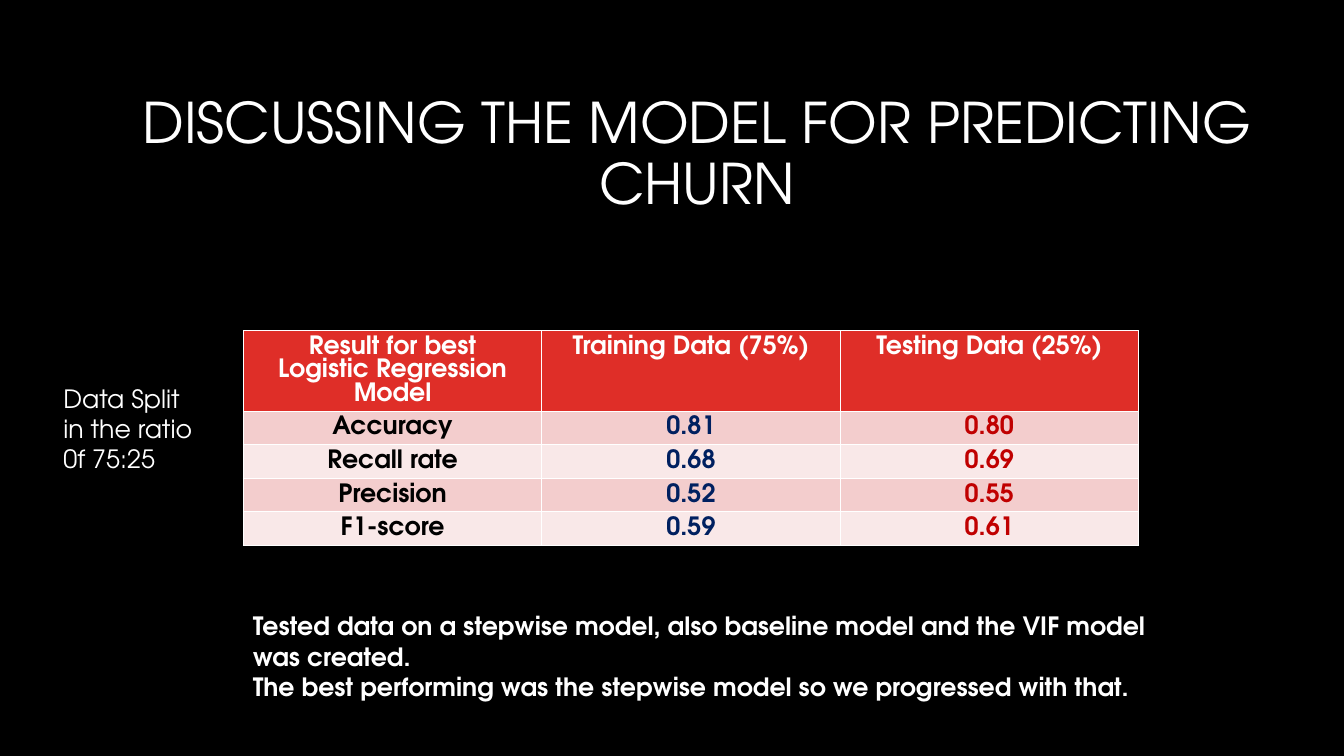
from dataclasses import dataclass

import lxml.etree
import pptx
import pptx.dml.color
import pptx.enum.text
import pptx.oxml.ns
import pptx.util

FONT = "TeX Gyre Adventor"
COLORS = {
    "background": "000000",
    "light": "FFFFFF",
    "header": "DF2E28",
    "odd row": "F3CDCD",
    "even row": "F9E8E8",
    "label": "000000",
    "training": "002060",
    "testing": "C00000",
}
GRID = pptx.util.Inches(0.1)  # one column or row of the page grid
PAGE_COLUMNS, PAGE_ROWS = 133.33, 75
HEADER_ROWS, SCORE_ROWS = 8, 3.33
NO_BREAK_SPACE = chr(160)
ALIGN = pptx.enum.text.PP_ALIGN
ANCHOR = pptx.enum.text.MSO_ANCHOR


@dataclass(frozen=True)
class Area:
    """A rectangle in columns and rows of the page grid."""
    column: float
    row: float
    columns: float
    rows: float

    def lengths(self) -> tuple[int, ...]:
        return tuple(grid(n) for n in (self.column, self.row, self.columns, self.rows))


@dataclass(frozen=True)
class Style:
    color: str = "light"
    size: int = 18
    bold: bool = False
    align: ALIGN = ALIGN.LEFT
    spacing: float = 1.0


@dataclass(frozen=True)
class Note:
    area: Area
    paragraphs: tuple[str, ...]
    style: Style


@dataclass(frozen=True)
class Score:
    label: str
    training: str
    testing: str


TITLE = Note(
    Area(7.6, 8.4, 123.1, 14.1),
    ("DISCUSSING THE MODEL FOR PREDICTING CHURN",),
    Style(size=40, align=ALIGN.CENTER, spacing=0.9),
)
NOTES = (
    Note(
        Area(24.1, 60.1, 90.6, 10.1),
        (
            "Tested data on a stepwise model, also baseline model and the VIF model was created.",
            "The best performing was the stepwise model so we progressed with that.",
        ),
        Style(bold=True),
    ),
    Note(Area(5.3, 37.5, 15.1, 10.1), ("Data Split in the ratio 0f 75:25",), Style()),
)
HEADINGS = (
    f"Result for best Logistic{NO_BREAK_SPACE}Regression Model",
    "Training Data (75%)",
    "Testing Data (25%)",
)
SCORES = (
    Score("Accuracy", "0.81", "0.80"),
    Score("Recall rate", "0.68", "0.69"),
    Score("Precision", "0.52", "0.55"),
    Score("F1-score", "0.59", "0.61"),
)
TABLE_AREA = Area(24.15, 32.8, 88.8, HEADER_ROWS + SCORE_ROWS * len(SCORES))


def grid(count: float) -> int:
    return round(count * GRID)


def color(name: str) -> pptx.dml.color.RGBColor:
    return pptx.dml.color.RGBColor.from_string(COLORS[name])


def write(frame: pptx.text.text.TextFrame, paragraphs: tuple[str, ...], style: Style) -> None:
    for index, text in enumerate(paragraphs):
        para = frame.add_paragraph() if index else frame.paragraphs[0]
        para.alignment = style.align
        para.line_spacing = style.spacing
        span = para.add_run()
        span.text = text
        span.font.name = FONT
        span.font.size = pptx.util.Pt(style.size)
        span.font.bold = style.bold
        span.font.color.rgb = color(style.color)


def add_title(page: pptx.slide.Slide, note: Note) -> None:
    box = page.shapes.title
    box.left, box.top, box.width, box.height = note.area.lengths()
    frame = box.text_frame
    frame.word_wrap = True
    frame.auto_size = pptx.enum.text.MSO_AUTO_SIZE.NONE
    frame.vertical_anchor = ANCHOR.MIDDLE
    write(frame, note.paragraphs, note.style)


def add_note(page: pptx.slide.Slide, note: Note) -> None:
    frame = page.shapes.add_textbox(*note.area.lengths()).text_frame
    frame.word_wrap = True
    frame.auto_size = pptx.enum.text.MSO_AUTO_SIZE.SHAPE_TO_FIT_TEXT
    write(frame, note.paragraphs, note.style)


def add_borders(cell: pptx.table._Cell) -> None:
    qualified = pptx.oxml.ns.qn
    properties = cell._tc.get_or_add_tcPr()
    for side in ("a:lnL", "a:lnR", "a:lnT", "a:lnB"):
        line = lxml.etree.SubElement(properties, qualified(side), w=str(pptx.util.Pt(0.75)))
        fill = lxml.etree.SubElement(line, qualified("a:solidFill"))
        lxml.etree.SubElement(fill, qualified("a:srgbClr"), val=COLORS["light"])


def fill_cell(cell: pptx.table._Cell, text: str, fill: str, text_color: str) -> None:
    add_borders(cell)  # borders must come before the fill in the cell's XML
    cell.fill.solid()
    cell.fill.fore_color.rgb = color(fill)
    cell.vertical_anchor = ANCHOR.TOP
    write(cell.text_frame, (text,), Style(text_color, bold=True, align=ALIGN.CENTER))


def add_score_table(page: pptx.slide.Slide) -> None:
    table = page.shapes.add_table(len(SCORES) + 1, len(HEADINGS), *TABLE_AREA.lengths()).table
    for column in table.columns:
        column.width = grid(TABLE_AREA.columns / len(HEADINGS))
    for index, row in enumerate(table.rows):
        row.height = grid(SCORE_ROWS if index else HEADER_ROWS)
    for column, heading in enumerate(HEADINGS):
        fill_cell(table.cell(0, column), heading, "header", "light")
    for row, score in enumerate(SCORES, start=1):
        fill = "odd row" if row % 2 else "even row"
        for column, field in enumerate(("label", "training", "testing")):
            fill_cell(table.cell(row, column), getattr(score, field), fill, field)


def main() -> None:
    deck = pptx.Presentation()
    deck.slide_width, deck.slide_height = grid(PAGE_COLUMNS), grid(PAGE_ROWS)
    page = deck.slides.add_slide(deck.slide_layouts.get_by_name("Title Only"))
    page.background.fill.solid()
    page.background.fill.fore_color.rgb = color("background")
    add_title(page, TITLE)
    add_score_table(page)
    for note in NOTES:
        add_note(page, note)
    deck.save("out.pptx")


if __name__ == "__main__":
    main()
